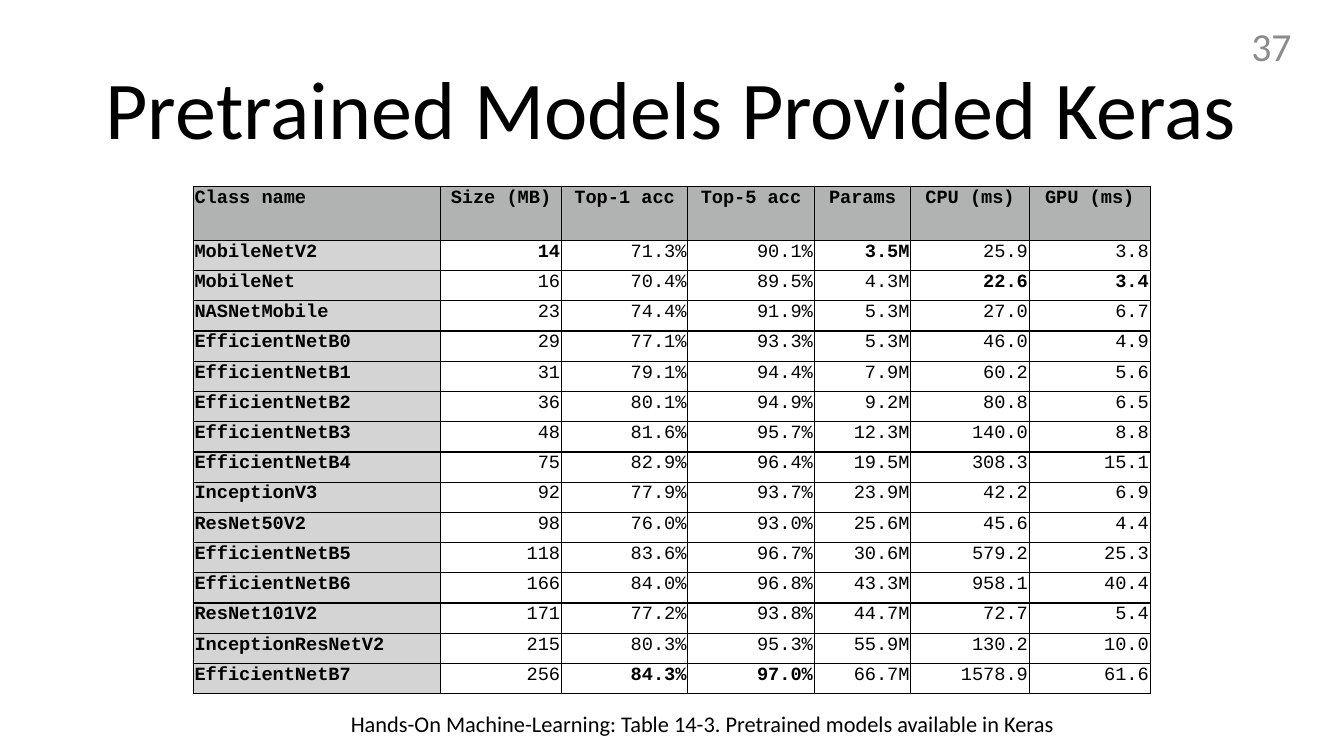
import pptx
import pptx.dml.color
import pptx.enum.text
import pptx.oxml
import pptx.oxml.ns
import pptx.util

Pt = pptx.util.Pt
Align = pptx.enum.text.PP_ALIGN
Anchor = pptx.enum.text.MSO_ANCHOR

TITLE = "Pretrained Models Provided Keras"
SOURCE = "Hands-On Machine-Learning: Table 14-3. Pretrained models available in Keras"
NUMBER = "37"
HEAD = ("Class name", "Size (MB)", "Top-1 acc", "Top-5 acc", "Params", "CPU (ms)", "GPU (ms)")
MODELS = [
    ("MobileNetV2", "14", "71.3%", "90.1%", "3.5M", "25.9", "3.8"),
    ("MobileNet", "16", "70.4%", "89.5%", "4.3M", "22.6", "3.4"),
    ("NASNetMobile", "23", "74.4%", "91.9%", "5.3M", "27.0", "6.7"),
    ("EfficientNetB0", "29", "77.1%", "93.3%", "5.3M", "46.0", "4.9"),
    ("EfficientNetB1", "31", "79.1%", "94.4%", "7.9M", "60.2", "5.6"),
    ("EfficientNetB2", "36", "80.1%", "94.9%", "9.2M", "80.8", "6.5"),
    ("EfficientNetB3", "48", "81.6%", "95.7%", "12.3M", "140.0", "8.8"),
    ("EfficientNetB4", "75", "82.9%", "96.4%", "19.5M", "308.3", "15.1"),
    ("InceptionV3", "92", "77.9%", "93.7%", "23.9M", "42.2", "6.9"),
    ("ResNet50V2", "98", "76.0%", "93.0%", "25.6M", "45.6", "4.4"),
    ("EfficientNetB5", "118", "83.6%", "96.7%", "30.6M", "579.2", "25.3"),
    ("EfficientNetB6", "166", "84.0%", "96.8%", "43.3M", "958.1", "40.4"),
    ("ResNet101V2", "171", "77.2%", "93.8%", "44.7M", "72.7", "5.4"),
    ("InceptionResNetV2", "215", "80.3%", "95.3%", "55.9M", "130.2", "10.0"),
    ("EfficientNetB7", "256", "84.3%", "97.0%", "66.7M", "1578.9", "61.6"),
]
BEST = {"14", "3.5M", "22.6", "3.4", "84.3%", "97.0%"}

THEME = {
    "sans": "Calibri", "mono": "Courier New",
    "ink": "000000", "gray": "8C8C8C", "head": "B0B3B2", "name": "D4D4D4",
    "title": 44, "number": 21.3, "note": 12, "cell": 10, "line": 0.75,
}
WIDTHS = (132.5, 64.8, 67.7, 67.7, 51.8, 63.4, 64.8)
TOP_ROW, ROW, INSET = 29, 16.2, 0.75


def color(key):
    return pptx.dml.color.RGBColor.from_string(THEME[key])


def write(frame, text, size, font="sans", ink="ink", bold=False, align=Align.LEFT, space=None):
    para = frame.paragraphs[0]
    para.alignment = align
    para.line_spacing = space
    run = para.add_run()
    run.text = text
    run.font.size = Pt(THEME[size])
    run.font.name = THEME[font]
    run.font.bold = bold
    run.font.color.rgb = color(ink)


def label(slide, text, left, top, width, height, **look):
    frame = slide.shapes.add_textbox(Pt(left), Pt(top), Pt(width), Pt(height)).text_frame
    frame.word_wrap = True
    frame.vertical_anchor = Anchor.MIDDLE
    write(frame, text, **look)


def border(cell):
    props = cell._tc.get_or_add_tcPr()
    space = pptx.oxml.ns.nsdecls("a")
    for spot, side in enumerate(("lnL", "lnR", "lnT", "lnB")):
        props.insert(spot, pptx.oxml.parse_xml(
            f'<a:{side} {space} w="{Pt(THEME["line"])}"><a:solidFill>'
            f'<a:srgbClr val="{THEME["ink"]}"/></a:solidFill></a:{side}>'))


def fill(cell, text, row, col):
    cell.margin_left = cell.margin_right = Pt(INSET)
    cell.margin_top = cell.margin_bottom = Pt(INSET)
    if row == 0 or col == 0:
        cell.fill.solid()
        cell.fill.fore_color.rgb = color("name" if row else "head")
    else:
        cell.fill.background()
    border(cell)
    align = Align.LEFT if col == 0 else Align.RIGHT if row else Align.CENTER
    bold = row == 0 or col == 0 or text in BEST
    write(cell.text_frame, text, "cell", font="mono", bold=bold, align=align)


def grid(slide, left, top):
    rows = [HEAD] + MODELS
    tall = TOP_ROW + ROW * len(MODELS)
    table = slide.shapes.add_table(
        len(rows), len(HEAD), Pt(left), Pt(top), Pt(sum(WIDTHS)), Pt(tall)).table
    table.first_row = table.horz_banding = False
    for col, width in zip(table.columns, WIDTHS):
        col.width = Pt(width)
    for row, texts in enumerate(rows):
        table.rows[row].height = Pt(ROW if row else TOP_ROW)
        for col, text in enumerate(texts):
            fill(table.cell(row, col), text, row, col)


def main():
    deck = pptx.Presentation()
    deck.slide_width, deck.slide_height = Pt(720), Pt(405)
    slide = deck.slides.add_slide(deck.slide_layouts[6])
    label(slide, TITLE, 49.5, 21.6, 621, 78.3, size="title", space=0.9)
    grid(slide, 103.5, 99.8)
    label(slide, SOURCE, 144, 376.6, 465, 21.6, size="note", align=Align.CENTER)
    label(slide, NUMBER, 537, 13.7, 162, 21.6, size="number", ink="gray", align=Align.RIGHT)
    deck.save("out.pptx")


if __name__ == "__main__":
    main()
